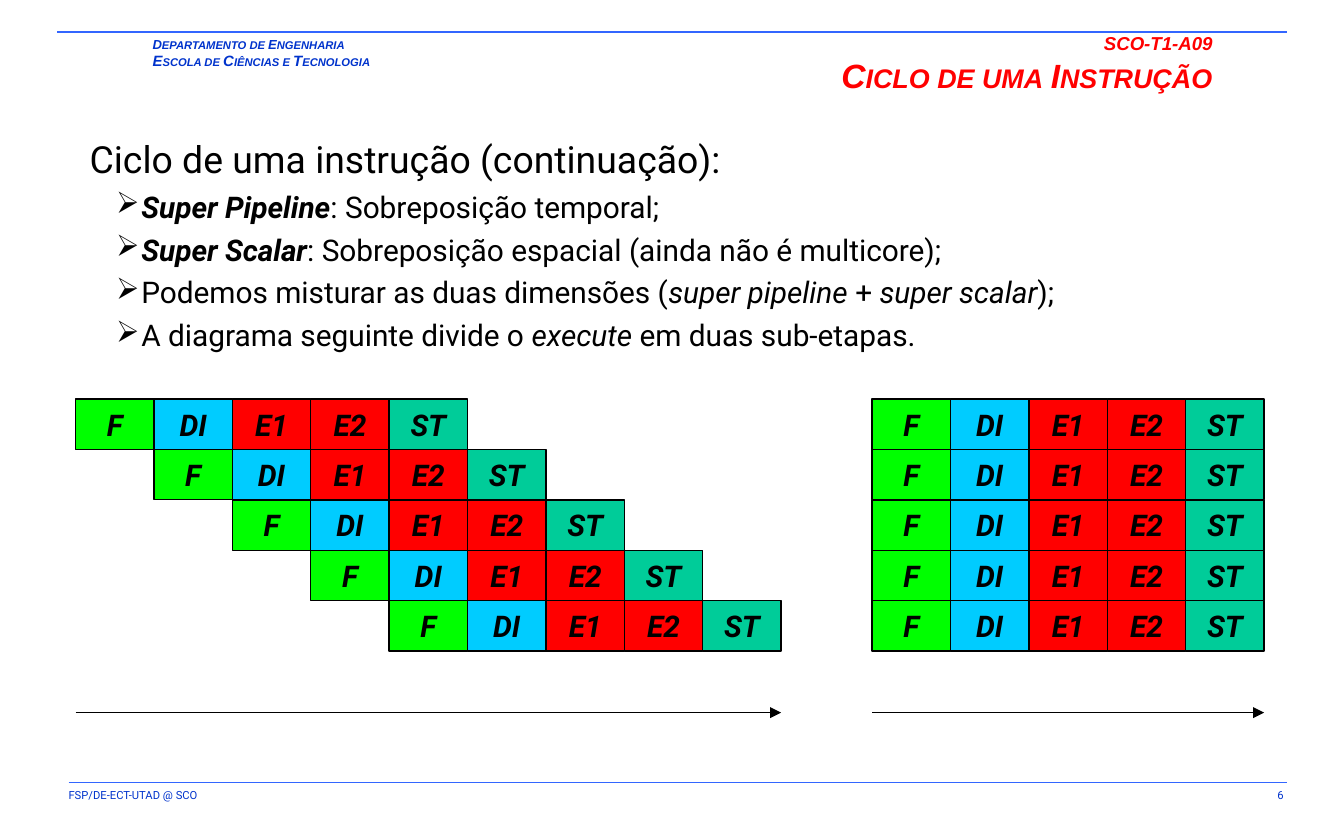
from lxml import etree
from pptx import Presentation
from pptx.dml.color import RGBColor
from pptx.enum.shapes import MSO_CONNECTOR, MSO_SHAPE
from pptx.enum.text import MSO_ANCHOR, MSO_AUTO_SIZE, PP_ALIGN
from pptx.oxml.ns import qn
from pptx.util import Pt

EMU_PER_PX = 9525  # 96 px to the inch
LEFT, CENTER, RIGHT, JUSTIFY = PP_ALIGN.LEFT, PP_ALIGN.CENTER, PP_ALIGN.RIGHT, PP_ALIGN.JUSTIFY
TOP, MIDDLE = MSO_ANCHOR.TOP, MSO_ANCHOR.MIDDLE
NO_AUTOFIT = MSO_AUTO_SIZE.NONE
RECTANGLE, STRAIGHT = MSO_SHAPE.RECTANGLE, MSO_CONNECTOR.STRAIGHT

COLORS = {
    "text": "000000", "title": "FF0000", "header": "0033CC", "rule": "3366FF",
    "fetch": "00FF00", "decode": "00CCFF", "execute": "FF0000", "store": "00CC99",
}
HEADING_FONT, BODY_FONT = "Arial", "Roboto"

STAGES = [("F", "fetch"), ("DI", "decode"), ("E1", "execute"), ("E2", "execute"), ("ST", "store")]
INSTRUCTIONS = 5
CELL_WIDTH, CELL_HEIGHT = 56, 36
DIAGRAM_TOP, TIME_AXIS_Y = 285, 509

# Each run is (text, size)
DEPARTMENT = [
    [("D", 7), ("EPARTAMENTO DE ", 6), ("E", 7), ("NGENHARIA", 6)],
    [("E", 8), ("SCOLA DE ", 6), ("C", 8), ("IÊNCIAS E ", 6), ("T", 8), ("ECNOLOGIA", 6)],
]
# Each run is (text, bold, italic)
BULLETS = [
    [("Super Pipeline", True, True), (": Sobreposição temporal;", False, False)],
    [("Super Scalar", True, True),
     (": Sobreposição espacial (ainda não é multicore);", False, False)],
    [("Podemos misturar as duas dimensões (", False, False), ("super pipeline", False, True),
     (" + ", False, False), ("super scalar", False, True), (");", False, False)],
    [("A diagrama seguinte divide o ", False, False), ("execute", False, True),
     (" em duas sub-etapas.", False, False)],
]


def px(value):
    return value * EMU_PER_PX


def rgb(name):
    return RGBColor.from_string(COLORS[name])


def add_run(paragraph, text, size, color="text", font=BODY_FONT, bold=False, italic=False):
    run = paragraph.add_run()
    run.text = text
    run.font.size = Pt(size)
    run.font.name = font
    run.font.bold = bold
    run.font.italic = italic
    run.font.color.rgb = rgb(color)
    return run


def format_frame(frame, margin_x=0, margin_y=0, anchor=TOP):
    frame.word_wrap = True
    frame.auto_size = NO_AUTOFIT
    frame.vertical_anchor = anchor
    frame.margin_left = frame.margin_right = px(margin_x)
    frame.margin_top = frame.margin_bottom = px(margin_y)
    return frame


def add_text_box(slide, left, top, width, height, margin_x, margin_y):
    box = slide.shapes.add_textbox(px(left), px(top), px(width), px(height))
    return format_frame(box.text_frame, margin_x, margin_y)


def add_line(shapes, left, right, y, color, arrow=False):
    line = shapes.add_connector(STRAIGHT, px(left), px(y), px(right), px(y))
    line.line.color.rgb = rgb(color)
    line.line.width = Pt(0.75)
    if arrow:
        etree.SubElement(line.line._get_or_add_ln(), qn("a:tailEnd"), type="triangle")
    etree.SubElement(line._element.spPr, qn("a:effectLst"))


def add_header_and_footer(slide):
    add_line(slide.shapes, 41, 919, 23, "rule")
    add_line(slide.shapes, 49, 919, 559, "rule")

    header = add_text_box(slide, 102, 23, 250, 31, 7, 3)
    for index, runs in enumerate(DEPARTMENT):
        paragraph = header.add_paragraph() if index else header.paragraphs[0]
        for text, size in runs:
            add_run(paragraph, text, size, "header", HEADING_FONT, True, True)

    for text, left, width, alignment in [("FSP/DE-ECT-UTAD @ SCO", 41, 446, LEFT),
                                         ("6", 805, 120, RIGHT)]:
        paragraph = add_text_box(slide, left, 559, width, 20, 8, 4).paragraphs[0]
        paragraph.alignment = alignment
        add_run(paragraph, text, 6, "header")


def format_title(slide):
    title = slide.shapes.title
    title.left, title.top, title.width, title.height = px(316), px(19), px(558), px(44)
    paragraph = format_frame(title.text_frame, 8, 4).paragraphs[0]
    paragraph.alignment = RIGHT
    add_run(paragraph, "SCO-T1-A09", 10, "title", HEADING_FONT, True, True)
    paragraph.add_line_break()
    line_break = paragraph._p.find(qn("a:br"))
    etree.SubElement(line_break, qn("a:rPr"), sz="1000")
    name = add_run(paragraph, "Ciclo de uma Instrução", 18, "title", HEADING_FONT, True, True)
    name.font._element.set("cap", "small")


def add_body(slide):
    frame = add_text_box(slide, 57, 88, 884, 166, 7, 3)
    heading = frame.paragraphs[0]
    heading.line_spacing = 1.2
    add_run(heading, "Ciclo de uma instrução (continuação):", 20)
    for runs in BULLETS:
        paragraph = frame.add_paragraph()
        paragraph.level = 1
        paragraph.alignment = JUSTIFY
        paragraph.line_spacing = 1.2
        properties = paragraph._p.get_or_add_pPr()
        properties.set("marL", str(px(37)))
        properties.set("indent", str(px(-18)))
        etree.SubElement(properties, qn("a:buChar"), char="➢")
        for text, bold, italic in runs:
            add_run(paragraph, text, 16, bold=bold, italic=italic)


def add_stage(shapes, left, top, label, color):
    cell = shapes.add_shape(RECTANGLE, px(left), px(top), px(CELL_WIDTH), px(CELL_HEIGHT))
    cell.shadow.inherit = False
    cell.fill.solid()
    cell.fill.fore_color.rgb = rgb(color)
    cell.line.color.rgb = rgb("text")
    cell.line.width = Pt(0.75)
    paragraph = format_frame(cell.text_frame, anchor=MIDDLE).paragraphs[0]
    paragraph.alignment = CENTER
    add_run(paragraph, label, 16, bold=True, italic=True)


def add_diagram(slide, left, delay):
    """Draw one row per instruction, each starting `delay` stages after the last."""
    shapes = slide.shapes.add_group_shape().shapes
    for row in range(INSTRUCTIONS):
        for step, (label, color) in enumerate(STAGES):
            column = step + row * delay
            add_stage(shapes, left + column * CELL_WIDTH, DIAGRAM_TOP + row * CELL_HEIGHT,
                      label, color)
    columns = len(STAGES) + (INSTRUCTIONS - 1) * delay
    add_line(shapes, left, left + columns * CELL_WIDTH, TIME_AXIS_Y, "text", arrow=True)


def main():
    presentation = Presentation()
    presentation.slide_width, presentation.slide_height = px(960), px(600)
    slide = presentation.slides.add_slide(presentation.slide_layouts[5])
    add_header_and_footer(slide)
    format_title(slide)
    add_body(slide)
    add_diagram(slide, 54, delay=1)   # super pipeline
    add_diagram(slide, 623, delay=0)  # super scalar
    presentation.save("out.pptx")


if __name__ == "__main__":
    main()
